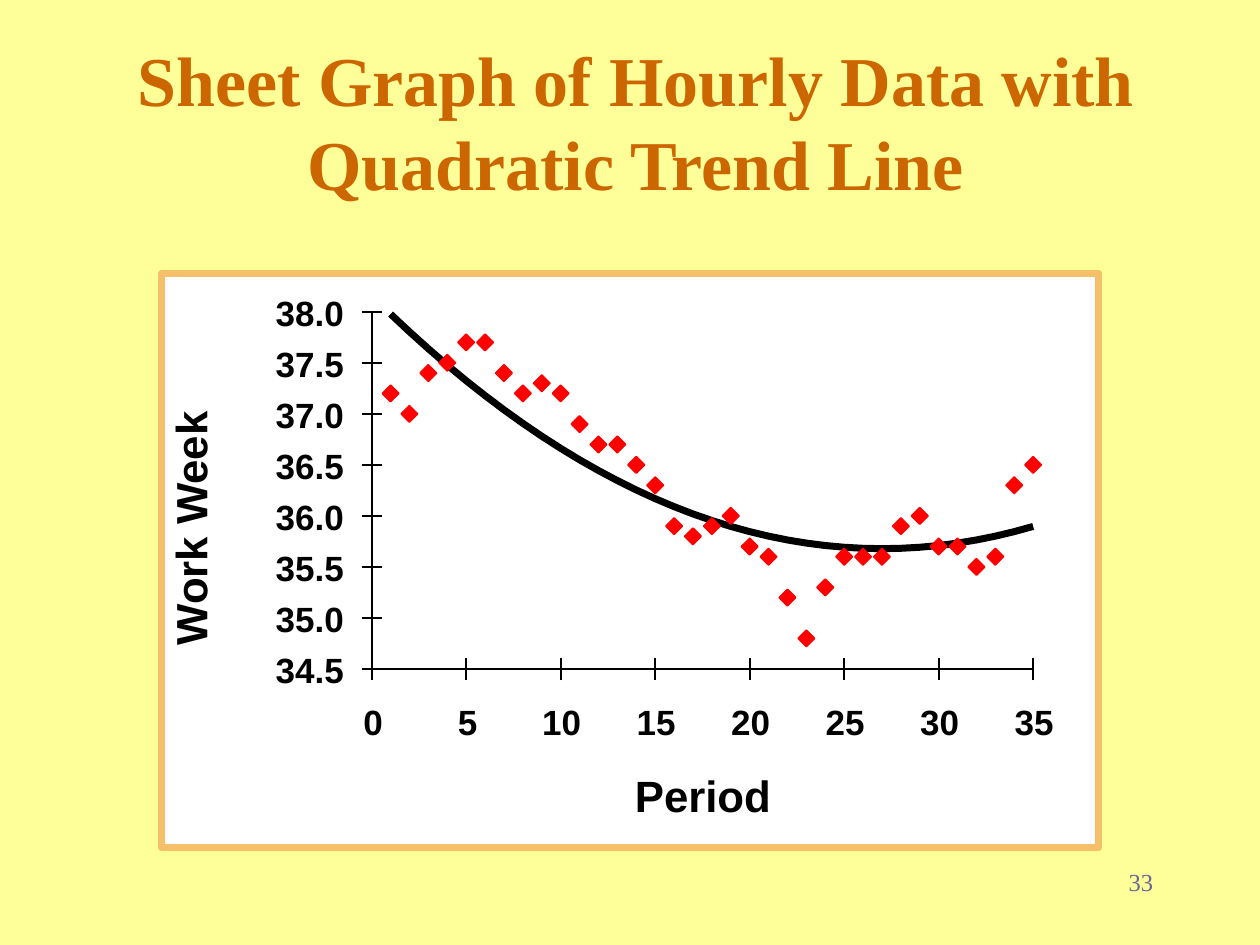
"""Build a slide with a scatter graph of weekly hours and a quadratic trend."""
from lxml import etree
from pptx import Presentation
from pptx.dml.color import RGBColor
from pptx.enum.shapes import MSO_CONNECTOR, MSO_SHAPE
from pptx.enum.text import MSO_ANCHOR, PP_ALIGN
from pptx.oxml.ns import qn
from pptx.util import Inches, Pt

LEFT, CENTER, RIGHT = PP_ALIGN.LEFT, PP_ALIGN.CENTER, PP_ALIGN.RIGHT
TOP, MIDDLE = MSO_ANCHOR.TOP, MSO_ANCHOR.MIDDLE
STRAIGHT = MSO_CONNECTOR.STRAIGHT
RECT, DIAMOND = MSO_SHAPE.RECTANGLE, MSO_SHAPE.DIAMOND

CREAM = RGBColor(0xFF, 0xFF, 0x99)
RUST = RGBColor(0xCC, 0x66, 0x00)
WHITE = RGBColor(0xFF, 0xFF, 0xFF)
AMBER = RGBColor(0xF6, 0xBF, 0x69)
BLACK = RGBColor(0x00, 0x00, 0x00)
RED = RGBColor(0xFF, 0x00, 0x00)
SLATE = RGBColor(0x66, 0x66, 0x99)

HOURS = [
    37.2, 37.0, 37.4, 37.5, 37.7, 37.7, 37.4, 37.2, 37.3, 37.2, 36.9, 36.7,
    36.7, 36.5, 36.3, 35.9, 35.8, 35.9, 36.0, 35.7, 35.6, 35.2, 34.8, 35.3,
    35.6, 35.6, 35.6, 35.9, 36.0, 35.7, 35.7, 35.5, 35.6, 36.3, 36.5,
]
LOW, HIGH = 34.5, 38.0
LAST = len(HOURS)
BASE_X, BASE_Y = 2.95, 5.31
STEP_X, STEP_Y = 0.15, 0.81
END_X = BASE_X + LAST * STEP_X
END_Y = BASE_Y - (HIGH - LOW) * STEP_Y
TICK = 0.08
MARK = 0.13

deck = Presentation()
deck.slide_width, deck.slide_height = Inches(10), Inches(7.5)
slide = deck.slides.add_slide(deck.slide_layouts[6])
slide.background.fill.solid()
slide.background.fill.fore_color.rgb = CREAM
shapes = slide.shapes


def write(text, x, y, w, h, size, color=BLACK, font="Arial", bold=True,
          align=LEFT, anchor=TOP, wrap=False):
    box = shapes.add_textbox(Inches(x), Inches(y), Inches(w), Inches(h))
    frame = box.text_frame
    frame.word_wrap = wrap
    frame.vertical_anchor = anchor
    para = frame.paragraphs[0]
    para.alignment = align
    run = para.add_run()
    run.text = text
    run.font.name, run.font.size, run.font.bold = font, Pt(size), bold
    run.font.color.rgb = color
    return box


def rule(x1, y1, x2, y2):
    line = shapes.add_connector(
        STRAIGHT, Inches(x1), Inches(y1), Inches(x2), Inches(y2))
    line.line.color.rgb = BLACK
    line.line.width = Pt(1)
    etree.SubElement(line._element.spPr, qn("a:effectLst"))


write("Sheet Graph of Hourly Data with Quadratic Trend Line",
      0.42, 0.33, 9.25, 1.25, 40, RUST, "Times New Roman",
      align=CENTER, anchor=MIDDLE, wrap=True)

panel = shapes.add_shape(
    RECT, Inches(1.28), Inches(2.17), Inches(7.44), Inches(4.56))
panel.shadow.inherit = False
panel.fill.solid()
panel.fill.fore_color.rgb = WHITE
panel.line.color.rgb = AMBER
panel.line.width = Pt(4)

rule(BASE_X, END_Y, BASE_X, BASE_Y)
rule(BASE_X, BASE_Y, END_X, BASE_Y)

for i in range(8):
    value = LOW + i * 0.5
    y = BASE_Y - (value - LOW) * STEP_Y
    rule(BASE_X - TICK, y, BASE_X + TICK, y)
    write(f"{value:.1f}", 2.09, y - 0.21, 0.74, 0.43, 20)

for period in range(0, LAST + 1, 5):
    x = BASE_X + period * STEP_X
    rule(x, BASE_Y + 0.09, x, BASE_Y - 0.09)
    width = 0.35 if period < 10 else 0.51
    write(str(period), x + 0.01 - width / 2, 5.51, width, 0.43, 20)

curve = []
for period in range(1, LAST + 1):
    value = 35.68 + 0.0034 * (period - 27) ** 2
    curve.append((Inches(BASE_X + period * STEP_X),
                  Inches(BASE_Y - (value - LOW) * STEP_Y)))
path = shapes.build_freeform(*curve[0])
path.add_line_segments(curve[1:], close=False)
trend = path.convert_to_shape()
trend.shadow.inherit = False
trend.fill.background()
trend.line.color.rgb = BLACK
trend.line.width = Pt(4)

for period, value in enumerate(HOURS, 1):
    x = BASE_X + period * STEP_X - MARK / 2
    y = BASE_Y - (value - LOW) * STEP_Y - MARK / 2
    mark = shapes.add_shape(
        DIAMOND, Inches(x), Inches(y), Inches(MARK), Inches(MARK))
    mark.shadow.inherit = False
    mark.fill.solid()
    mark.fill.fore_color.rgb = RED
    mark.line.color.rgb = RED
    mark.line.width = Pt(1)

write("Period", 4.94, 6.05, 1.28, 0.51, 25)
write("Work Week", 0.47, 3.93, 2.07, 0.51, 25).rotation = 270

number = write("33", 8.42, 6.83, 0.83, 0.5, 14, SLATE, "Times New Roman",
               bold=False, align=RIGHT, wrap=True)
number.text_frame.paragraphs[0].space_before = Pt(8.8)

deck.save("out.pptx")
